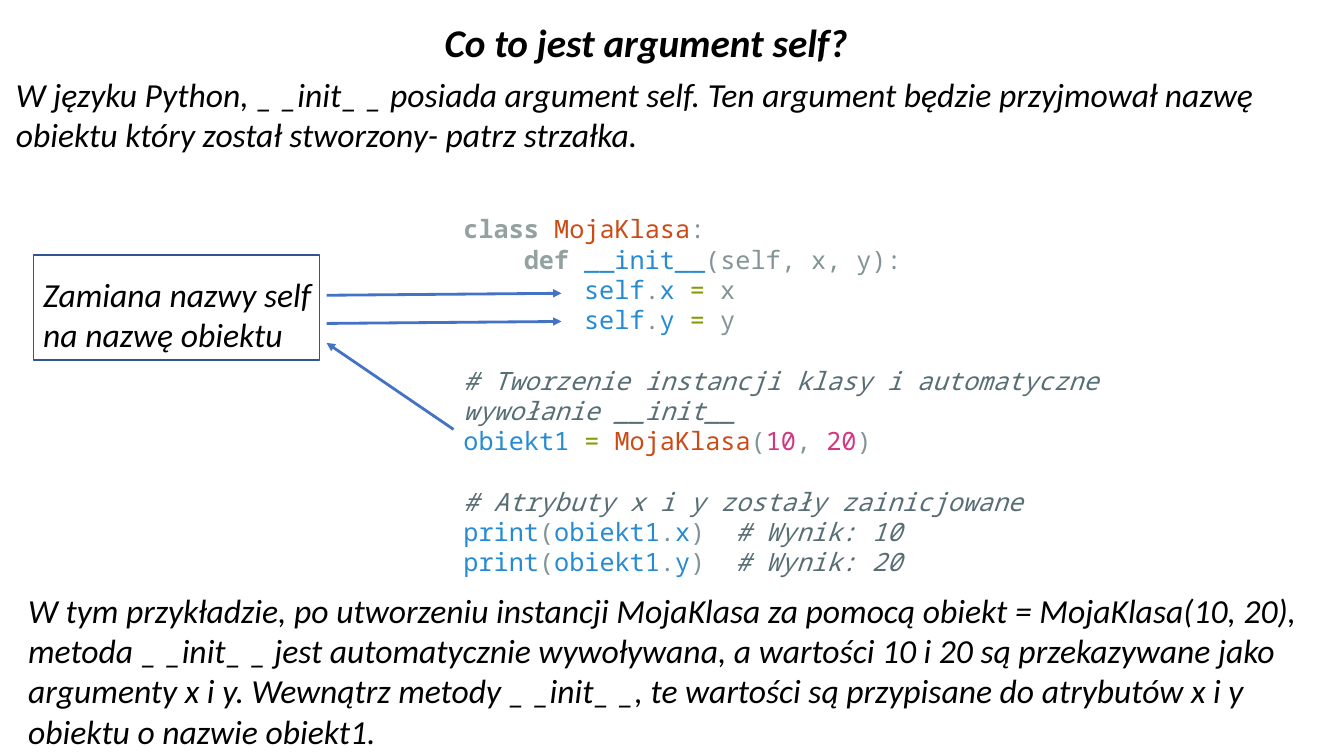
from dataclasses import dataclass

from lxml import etree
from pptx import Presentation
from pptx.dml.color import RGBColor
from pptx.enum.shapes import MSO_CONNECTOR, MSO_SHAPE
from pptx.enum.text import MSO_ANCHOR, PP_ALIGN
from pptx.oxml.ns import qn
from pptx.util import Cm, Pt

STRAIGHT = MSO_CONNECTOR.STRAIGHT
RECTANGLE = MSO_SHAPE.RECTANGLE
TOP, BOTTOM = MSO_ANCHOR.TOP, MSO_ANCHOR.BOTTOM
LEFT, CENTER = PP_ALIGN.LEFT, PP_ALIGN.CENTER

BLACK = RGBColor(0x00, 0x00, 0x00)
ARROW_BLUE = RGBColor(0x44, 0x72, 0xC4)
FRAME_BLUE = RGBColor(0x32, 0x54, 0x91)
KEYWORD = RGBColor(0x93, 0xA1, 0xA1)
CLASS = RGBColor(0xCB, 0x4B, 0x16)
PLAIN = RGBColor(0x83, 0x94, 0x96)
NAME = RGBColor(0x26, 0x8B, 0xD2)
OPERATOR = RGBColor(0x85, 0x99, 0x00)
COMMENT = RGBColor(0x58, 0x6E, 0x75)
NUMBER = RGBColor(0xD3, 0x36, 0x82)

PROSE_FONT, CODE_FONT = "Calibri", "Noto Sans Mono"
CODE_INDENT = Cm(1.52)
CODE_LINE = Pt(21.6)


@dataclass(frozen=True)
class Area:
    left: float
    top: float
    width: float
    height: float

    def lengths(self) -> tuple:
        return Cm(self.left), Cm(self.top), Cm(self.width), Cm(self.height)


@dataclass(frozen=True)
class Prose:
    area: Area
    text: str


@dataclass(frozen=True)
class Arrow:
    start: tuple[float, float]
    end: tuple[float, float]


@dataclass(frozen=True)
class CodeLine:
    spans: list[tuple[str, RGBColor]]
    indent: int = 0
    gap_before: bool = False


def assignment(attribute: str) -> CodeLine:
    return CodeLine([("self", NAME), (".", PLAIN), (f"{attribute} ", NAME),
                     ("=", OPERATOR), (f" {attribute}", PLAIN)], indent=2)


def print_call(attribute: str, result: int) -> CodeLine:
    return CodeLine([("print", NAME), ("(", PLAIN), ("obiekt1", NAME), (".", PLAIN),
                     (attribute, NAME), (")  ", PLAIN), (f"# Wynik: {result}", COMMENT)])


TITLE = Prose(Area(3.58, 0.46, 25.4, 1.32), "Co to jest argument self?")
PARAGRAPHS = [
    Prose(Area(0.15, 1.73, 32.23, 2.31),
          "W języku Python, _ _init_ _ posiada argument self. Ten argument będzie "
          "przyjmował nazwę obiektu który został stworzony- patrz strzałka."),
    Prose(Area(0.46, 14.73, 32.97, 4.37),
          "W tym przykładzie, po utworzeniu instancji MojaKlasa za pomocą "
          "obiekt = MojaKlasa(10, 20), metoda _ _init_ _ jest automatycznie wywoływana, "
          "a wartości 10 i 20 są przekazywane jako argumenty x i y. Wewnątrz metody "
          "_ _init_ _, te wartości są przypisane do atrybutów x i y obiektu o nazwie obiekt1."),
]
FRAME = Prose(Area(0.84, 6.43, 7.21, 2.64), "Zamiana nazwy self\nna nazwę obiektu")
CODE_AREA = Area(11.43, 5.26, 16.94, 9.5)
CODE = [
    CodeLine([("class ", KEYWORD), ("MojaKlasa", CLASS), (":", PLAIN)]),
    CodeLine([("def ", KEYWORD), ("__init__", NAME), ("(self, x, y):", PLAIN)], indent=1),
    assignment("x"),
    assignment("y"),
    CodeLine([("# Tworzenie instancji klasy i automatyczne wywołanie __init__", COMMENT)],
             gap_before=True),
    CodeLine([("obiekt1 ", NAME), ("= ", OPERATOR), ("MojaKlasa", CLASS), ("(", PLAIN),
              ("10", NUMBER), (", ", PLAIN), ("20", NUMBER), (")", PLAIN)]),
    CodeLine([("# Atrybuty x i y zostały zainicjowane", COMMENT)], gap_before=True),
    print_call("x", 10),
    print_call("y", 20),
]
ARROWS = [
    Arrow((8.23, 7.44), (14.15, 7.39)),
    Arrow((8.23, 8.15), (14.15, 8.1)),
    Arrow((11.43, 10.82), (8.23, 8.64)),
]


def format_span(span, font: str, size: int, color: RGBColor, bold: bool, italic: bool) -> None:
    span.font.name = font
    span.font.size = Pt(size)
    span.font.color.rgb = color
    span.font.bold = bold
    span.font.italic = italic


def write_prose(box, text: str, size: int = 24, bold: bool = False, align=LEFT) -> None:
    box.text_frame.word_wrap = True
    box.text_frame.text = text
    for para in box.text_frame.paragraphs:
        para.alignment = align
        for span in para.runs:
            format_span(span, PROSE_FONT, size, BLACK, bold, True)


def add_title(page) -> None:
    box = page.shapes.title
    box.left, box.top, box.width, box.height = TITLE.area.lengths()
    write_prose(box, TITLE.text, 28, True, CENTER)
    box.text_frame.vertical_anchor = BOTTOM
    box.text_frame.paragraphs[0].line_spacing = 0.9


def add_code(page) -> None:
    frame = page.shapes.add_textbox(*CODE_AREA.lengths()).text_frame
    frame.word_wrap = True
    for index, line in enumerate(CODE):
        para = frame.add_paragraph() if index else frame.paragraphs[0]
        if line.indent:
            para._p.get_or_add_pPr().set("marL", str(line.indent * CODE_INDENT))
        if line.gap_before:
            para.space_before = CODE_LINE
        for text, color in line.spans:
            span = para.add_run()
            span.text = text
            format_span(span, CODE_FONT, 18, color, color == KEYWORD, color == COMMENT)


def add_arrow(page, arrow: Arrow) -> None:
    connector = page.shapes.add_connector(
        STRAIGHT, *(Cm(value) for value in arrow.start + arrow.end))
    connector.line.color.rgb = ARROW_BLUE
    connector.line.width = Pt(2)
    etree.SubElement(connector.line._get_or_add_ln(), qn("a:tailEnd"), type="triangle")
    etree.SubElement(connector._element.spPr, qn("a:effectLst"))


def add_frame(page) -> None:
    box = page.shapes.add_shape(RECTANGLE, *FRAME.area.lengths())
    box.shadow.inherit = False
    box.fill.background()
    box.line.color.rgb = FRAME_BLUE
    box.line.width = Pt(1)
    write_prose(box, FRAME.text)
    box.text_frame.vertical_anchor = TOP
    box.text_frame.margin_top = Cm(0.46)
    box.text_frame.margin_right = 0


def main() -> None:
    deck = Presentation()
    deck.slide_width, deck.slide_height = Cm(33.87), Cm(19.05)
    page = deck.slides.add_slide(deck.slide_layouts[5])
    add_title(page)
    for prose in PARAGRAPHS:
        write_prose(page.shapes.add_textbox(*prose.area.lengths()), prose.text)
    add_code(page)
    for arrow in ARROWS:
        add_arrow(page, arrow)
    add_frame(page)
    deck.save("out.pptx")


if __name__ == "__main__":
    main()
